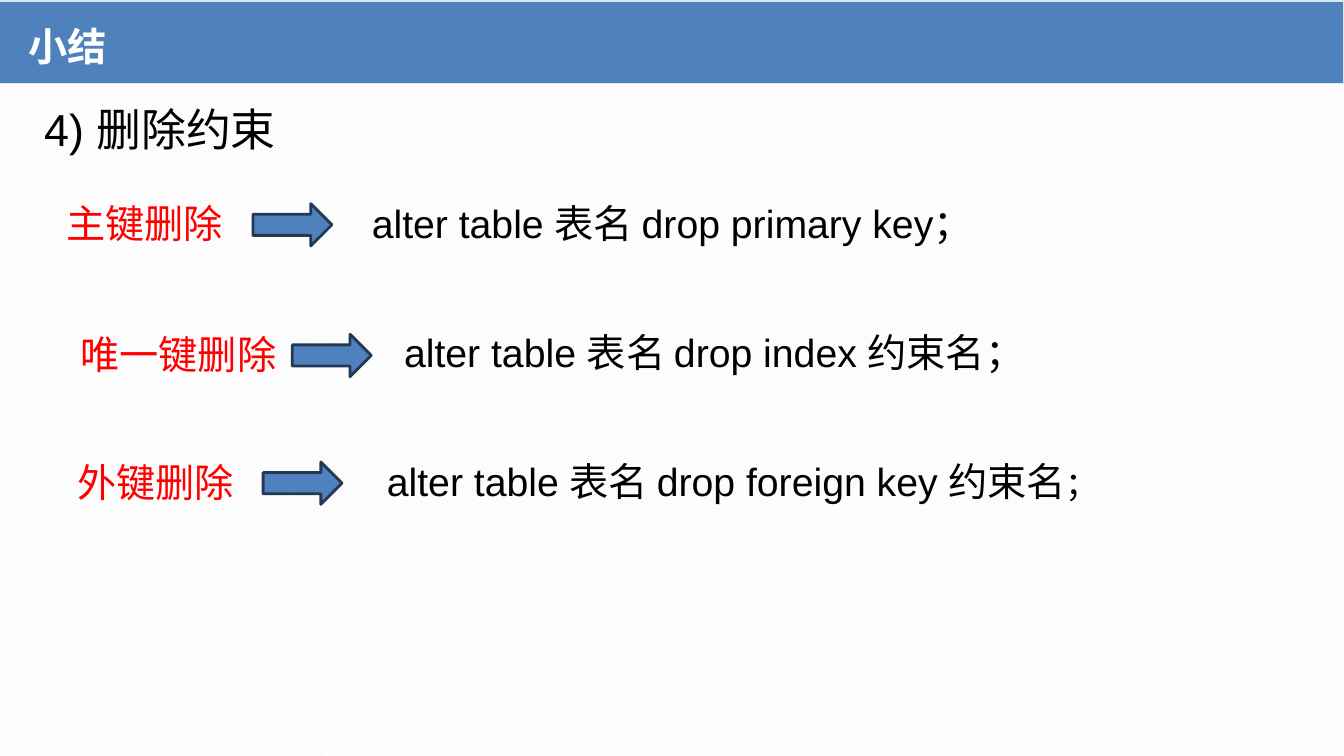
from lxml.etree import SubElement
from pptx import Presentation
from pptx.dml.color import RGBColor
from pptx.enum.dml import MSO_PATTERN
from pptx.enum.shapes import MSO_SHAPE
from pptx.enum.text import MSO_AUTO_SIZE
from pptx.oxml.ns import qn
from pptx.util import Inches, Pt

WIDE, HIGH = Inches(13.33), Inches(7.5)
COLS, ROWS = 80, 45
CJK = "Noto Sans CJK SC"
BLUE, RED, BLACK, WHITE = "4F81BD", "FF0000", "000000", "FFFFFF"


def tint(code):
    return RGBColor.from_string(code)


def place(x, y, w, h):
    """Turn grid cells into slide lengths."""
    return (int(WIDE * x / COLS), int(HIGH * y / ROWS),
            int(WIDE * w / COLS), int(HIGH * h / ROWS))


def add_text(slide, box, runs, color=BLACK, face="Arial", bold=False):
    """Add a one-line text box; runs are (text, size) pairs."""
    frame = slide.shapes.add_textbox(*place(*box)).text_frame
    frame.word_wrap = True
    frame.auto_size = MSO_AUTO_SIZE.SHAPE_TO_FIT_TEXT
    for text, size in runs:
        run = frame.paragraphs[0].add_run()
        run.text = text
        font = run.font
        font.size, font.bold, font.name = Pt(size), bold, face
        font.color.rgb = tint(color)
        SubElement(run._r.get_or_add_rPr(), qn("a:ea"), typeface=CJK)
    return frame


def add_block(slide, kind, box, edge, weight):
    shape = slide.shapes.add_shape(kind, *place(*box))
    shape.shadow.inherit = False
    shape.fill.solid()
    shape.fill.fore_color.rgb = tint(BLUE)
    shape.line.color.rgb = tint(edge)
    shape.line.width = Pt(weight)


def paint_back(slide):
    fill = slide.background.fill
    fill.patterned()
    fill.pattern = MSO_PATTERN.DARK_UPWARD_DIAGONAL
    fill.fore_color.rgb = tint("F2F2F2")
    fill.back_color.rgb = tint(WHITE)


def add_header(slide, box, title):
    x, y, w, h = box
    add_block(slide, MSO_SHAPE.RECTANGLE, box, "DCE6F2", 0.75)
    frame = add_text(slide, (x + 1, y + 0.9, w * 0.68, h * 0.72),
                     [(title, 28)], WHITE, CJK, True)
    frame.margin_left = frame.margin_right = Inches(0.12)
    frame.margin_top = frame.margin_bottom = Inches(0.06)


def add_rule(slide, box, label, span, arrow, drop, start, runs):
    """Place label, arrow and statement; offsets count from the box corner."""
    x, y, w, h = box
    add_text(slide, (x, y + drop, span, h), [(label, 28)], RED)
    add_block(slide, MSO_SHAPE.RIGHT_ARROW,
              (x + arrow, y + drop + 0.54, 4.7, 2.52), "233953", 2)
    add_text(slide, (x + start, y, w - start, h), runs)


def main():
    deck = Presentation()
    deck.slide_width, deck.slide_height = WIDE, HIGH
    slide = deck.slides.add_slide(deck.slide_layouts[6])
    paint_back(slide)
    add_header(slide, (0, 0.06, COLS, 4.92), "小结")
    add_text(slide, (2.04, 5.76, 16.44, 3.9), [("4) 删除约束", 32)])

    # left, label, label width, arrow offset, drop, statement offset, runs
    rules = [
        (3.36, "主键删除", 12.6, 11.7, 0, 18.18,
         [("alter table 表名 drop primary key；", 28)]),
        (4.2, "唯一键删除", 14.34, 13.2, 0.12, 19.26,
         [("alter table 表名 drop index 约束名；", 28)]),
        (4.02, "外键删除", 11.04, 11.64, 0.06, 19.2 - 0.78,
         [("alter table 表名 drop foreign key 约束名", 28), ("；", 24)]),
    ]
    top, pitch, reach = 11.58, 7.66, 42.06
    for row, (left, label, span, arrow, drop, start, runs) in enumerate(rules):
        box = (left, top + row * pitch, start + reach, 3.42)
        add_rule(slide, box, label, span, arrow, drop, start, runs)
    deck.save("out.pptx")


if __name__ == "__main__":
    main()
